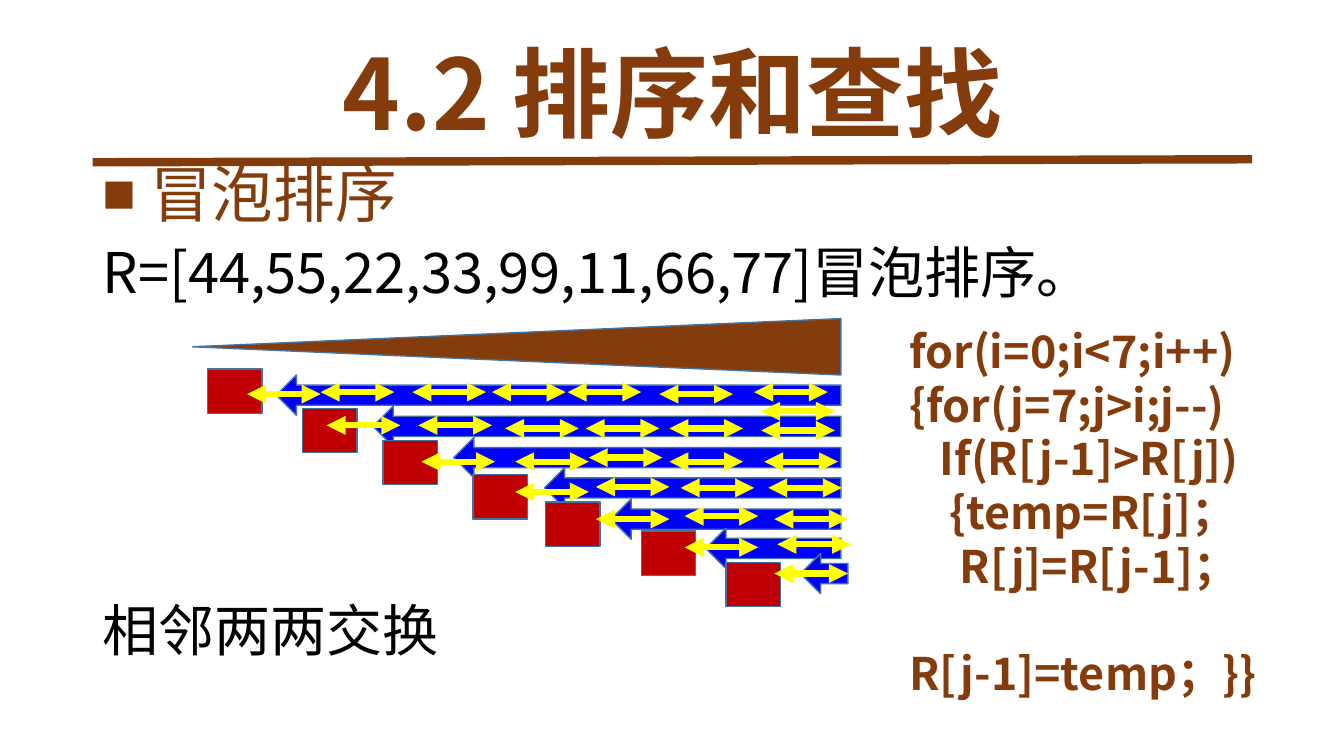
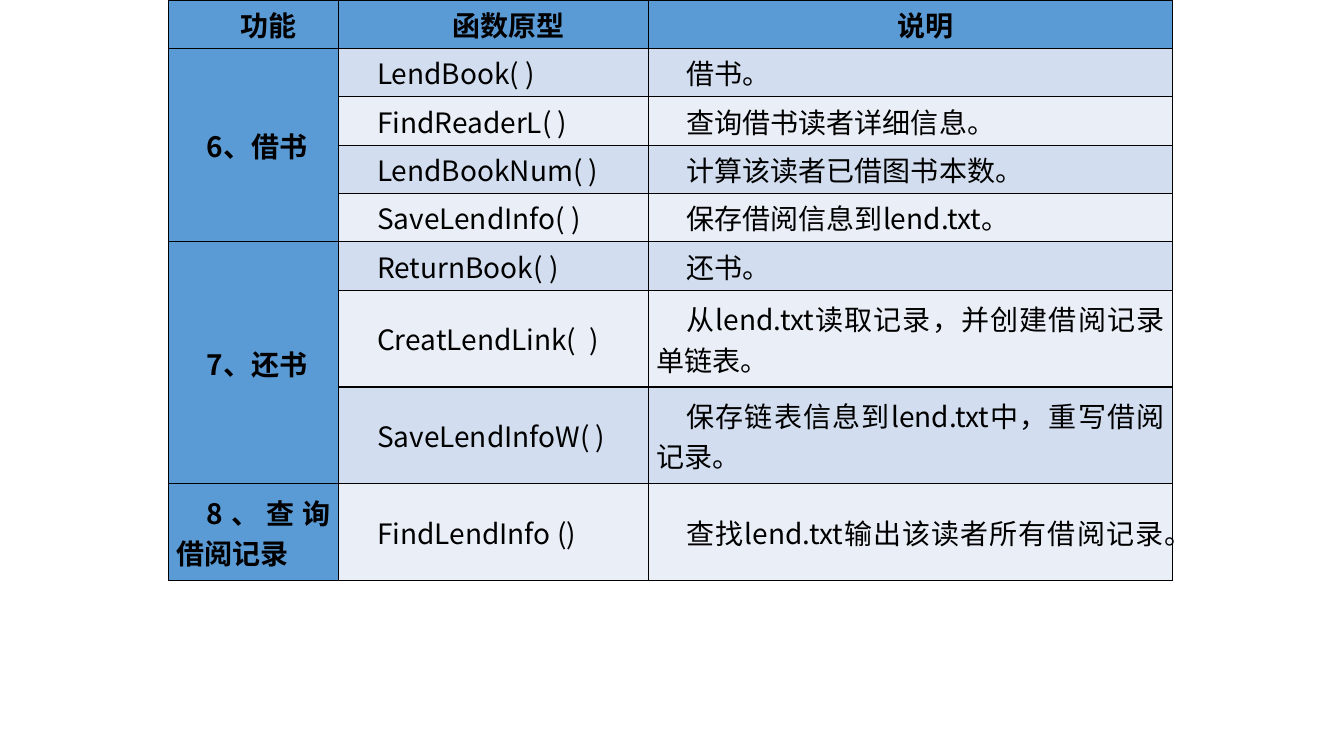
from pptx import Presentation
from pptx.dml.color import RGBColor
from pptx.enum.shapes import MSO_CONNECTOR as Connector, MSO_SHAPE as Preset
from pptx.enum.text import MSO_ANCHOR as Anchor, PP_ALIGN as Align
from pptx.oxml.ns import qn
from pptx.util import Inches, Pt
from lxml.etree import SubElement

WIDTH, HEIGHT = 13.33, 7.5
TITLE_ONLY, BLANK = 5, 6
FONT = "Noto Sans CJK SC"
BROWN, BLACK, OUTLINE = "843C0C", "000000", "43739E"
BLUE, RED, YELLOW = "0000FF", "C00000", "FFFF00"
HEAD_FILL, BAND_FILLS = "5B9BD5", ("D2DEEF", "EAEFF7")
MARGIN, CONTENT_WIDTH = 0.92, 11.5

# Each pass: arrow left and top, then sorted item left and top, within the diagram.
PASSES = [(0.83, 0.56, 0.15, 0.5), (1.79, 0.87, 1.09, 0.89),
          (2.59, 1.18, 1.89, 1.21), (3.49, 1.48, 2.78, 1.55),
          (4.15, 1.79, 3.5, 1.82), (5.09, 2.08, 4.45, 2.11),
          (6.03, 2.33, 5.29, 2.42)]
# Height of each line of swaps, with the left end of every swap on it.
SWAPS = {0.73: (1.27, 2.18, 2.97, 3.72, 5.57), 0.75: (0.54, 4.63),
         0.92: (5.64,), 1.06: (1.33, 2.24), 1.09: (3.1, 3.9, 4.73),
         1.11: (5.64,), 1.38: (3.93,), 1.42: (2.27, 3.2, 4.73, 5.67),
         1.67: (4,), 1.68: (4.84, 5.71), 1.72: (3.2,), 1.96: (4.88,),
         1.99: (4, 5.77), 2.24: (5.8,), 2.27: (4.88,), 2.53: (5.77,)}
SWAP_LENGTH = 0.73

# Each code line: indent in steps, text.
CODE = [(0, "for(i=0;i<7;i++)"), (0, "{for(j=7;j>i;j--)"), (3, "If(R[j-1]>R[j])"),
        (4, "{temp=R[j]；"), (5, "R[j]=R[j-1]；"), (0, "R[j-1]=temp；}}")]
CODE_STEP = 0.1

HEADINGS = ("功能", "函数原型", "说明")
FEATURES = {
    "6、借书": [("LendBook( )", "借书。"),
             ("FindReaderL( )", "查询借书读者详细信息。"),
             ("LendBookNum( )", "计算该读者已借图书本数。"),
             ("SaveLendInfo( )", "保存借阅信息到lend.txt。")],
    "7、还书": [("ReturnBook( )", "还书。"),
             ("CreatLendLink(  )", "从lend.txt读取记录，并创建借阅记录单链表。"),
             ("SaveLendInfoW( )", "保存链表信息到lend.txt中，重写借阅记录。")],
    "8、查询借阅记录": [("FindLendInfo ()", "查找lend.txt输出该读者所有借阅记录。")],
}
COLUMN_WIDTHS, ROW_HEIGHT, TALL_FROM = (1.69, 3.07, 5.2), 0.48, 6


def color(hex_text):
    """Turn a hex string into a colour."""
    return RGBColor.from_string(hex_text)


def apply(target, values):
    """Set every attribute in a dict of format values."""
    for name, value in values.items():
        setattr(target, name, value)


def write(paragraph, text, size, ink=BLACK, bold=False, **layout):
    """Fill a paragraph with one formatted run."""
    run = paragraph.add_run()
    run.text = text
    apply(run.font, {"size": Pt(size), "bold": bold, "name": FONT})
    run.font.color.rgb = color(ink)
    SubElement(run.font._element, qn("a:ea"), typeface=FONT)
    apply(paragraph, layout)


def set_indent(paragraph, left, first):
    """Set the left margin and first-line indent in inches."""
    properties = paragraph._p.get_or_add_pPr()
    properties.set("marL", str(Inches(left)))
    properties.set("indent", str(Inches(first)))
    return properties


def add_line(slide, start, end, ink, width, arrows=False):
    """Draw a straight line, with arrowheads at both ends if asked."""
    line = slide.shapes.add_connector(
        Connector.STRAIGHT, *map(Inches, (*start, *end)))
    line.line.color.rgb = color(ink)
    line.line.width = Pt(width)
    if arrows:
        for end_tag in ("a:headEnd", "a:tailEnd"):
            SubElement(line.line._ln, qn(end_tag), type="triangle")
    SubElement(line._element.spPr, qn("a:effectLst"))


def add_figure(slide, preset, box, fill, rotation=0):
    """Draw a filled preset shape with the shared outline."""
    figure = slide.shapes.add_shape(preset, *map(Inches, box))
    figure.shadow.inherit = False
    figure.rotation = rotation
    figure.fill.solid()
    figure.fill.fore_color.rgb = color(fill)
    figure.line.color.rgb = color(OUTLINE)
    figure.line.width = Pt(1)


def add_text_frame(slide, box):
    """Add a wrapping text box and return its frame."""
    frame = slide.shapes.add_textbox(*map(Inches, box)).text_frame
    frame.word_wrap = True
    return frame


def add_title(slide, text, box):
    """Format the title placeholder and rule a line under it."""
    left, top, width, height = box
    title = slide.shapes.title
    apply(title, dict(zip(("left", "top", "width", "height"), map(Inches, box))))
    title.text_frame.vertical_anchor = Anchor.MIDDLE
    write(title.text_frame.paragraphs[0], text, 70, BROWN, True,
          alignment=Align.CENTER, line_spacing=0.9)
    rule_y = top + height - 0.12
    add_line(slide, (left, rule_y + 0.03), (left + width, rule_y), BROWN, 6)


def add_statement(slide, box):
    """Write the bulleted topic, the list to sort and the closing remark."""
    frame = add_text_frame(slide, box)
    topic = frame.paragraphs[0]
    write(topic, " 冒泡排序", 44, BROWN, line_spacing=0.9, space_before=Pt(10))
    properties = set_indent(topic, 0.25, -0.25)
    SubElement(properties, qn("a:buSzPct"), val="55000")
    SubElement(properties, qn("a:buFont"), typeface=FONT)
    SubElement(properties, qn("a:buChar"), char="■")
    for text, gap in (("R=[44,55,22,33,99,11,66,77]冒泡排序。", 10),
                      ("相邻两两交换", 213)):
        write(frame.add_paragraph(), text, 40, line_spacing=0.9,
              space_before=Pt(gap))


def add_passes(slide, box):
    """Draw the wedge, the arrow of each pass, the sorted items and the swaps."""
    left, top, width, height = box
    wedge_length, wedge_height = 6.43, 0.56
    add_figure(slide, Preset.ISOSCELES_TRIANGLE,
               (left + (wedge_length - wedge_height) / 2,
                top - (wedge_length - wedge_height) / 2,
                wedge_height, wedge_length), BROWN, 270)
    for arrow_x, arrow_y, item_x, item_y in PASSES:
        length = max(wedge_length - arrow_x, 0.47)
        add_figure(slide, Preset.RIGHT_ARROW,
                   (left + arrow_x, top + arrow_y, length, 0.4), BLUE, 180)
        add_figure(slide, Preset.RECTANGLE,
                   (left + item_x, top + item_y, 0.54, 0.44), RED)
    for swap_y, starts in SWAPS.items():
        for swap_x in starts:
            add_line(slide, (left + swap_x, top + swap_y),
                     (left + swap_x + SWAP_LENGTH, top + swap_y), YELLOW, 4.5, True)


def add_code(slide, box):
    """Write the code, its last line set one line lower."""
    frame = add_text_frame(slide, box)
    for number, (steps, text) in enumerate(CODE):
        line = frame.paragraphs[0] if number == 0 else frame.add_paragraph()
        write(line, text, 32, BROWN, True)
        set_indent(line, steps * CODE_STEP, 0)
    line.space_before = Pt(38.5)


def fill_cell(cell, text, fill, bold, alignment):
    """Give a cell its borders, fill and text."""
    apply(cell, {"margin_left": Inches(0.08), "margin_right": Inches(0.08),
                 "margin_top": 0, "margin_bottom": 0,
                 "vertical_anchor": Anchor.MIDDLE})
    for side in "LRTB":
        border = SubElement(cell._tc.get_or_add_tcPr(), qn(f"a:ln{side}"),
                            w=str(Pt(1)))
        ink = SubElement(border, qn("a:solidFill"))
        SubElement(ink, qn("a:srgbClr"), val=BLACK)
    cell.fill.solid()
    cell.fill.fore_color.rgb = color(fill)
    paragraph = cell.text_frame.paragraphs[0]
    if text:
        write(paragraph, text, 20, bold=bold, alignment=alignment)
    set_indent(paragraph, 0, 0.3)


def add_feature_table(slide, left, top):
    """Build the table of features, their functions and what they do."""
    entries = [(feature if first == 0 else "", *entry)
               for feature, group in FEATURES.items()
               for first, entry in enumerate(group)]
    rows = [HEADINGS, *entries]
    table = slide.shapes.add_table(
        len(rows), len(HEADINGS), Inches(left), Inches(top),
        Inches(sum(COLUMN_WIDTHS)), Inches(ROW_HEIGHT * len(rows))).table
    for column, width in zip(table.columns, COLUMN_WIDTHS):
        column.width = Inches(width)
    for r, texts in enumerate(rows):
        table.rows[r].height = Inches(ROW_HEIGHT * (2 if r >= TALL_FROM else 1))
        for c, text in enumerate(texts):
            strong = r == 0 or c == 0
            fill = HEAD_FILL if strong else BAND_FILLS[(r - 1) % 2]
            fill_cell(table.cell(r, c), text, fill, strong,
                      Align.CENTER if r == 0 else Align.JUSTIFY)
    first = 1
    for group in FEATURES.values():
        last = first + len(group) - 1
        if last > first:
            table.cell(first, 0).merge(table.cell(last, 0))
        first = last + 1


def build_sorting_slide(deck):
    """Slide on bubble sort: statement, diagram and code."""
    slide = deck.slides.add_slide(deck.slide_layouts[TITLE_ONLY])
    add_statement(slide, (MARGIN, 1.58, CONTENT_WIDTH, 5.59))
    add_title(slide, "4.2 排序和查找", (MARGIN, 0.25, CONTENT_WIDTH, 1.45))
    add_passes(slide, (1.91, 3.16, 6.53, 2.86))
    add_code(slide, (8.92, 3.16, 4.11, 3.33))


def build_feature_slide(deck):
    """Slide with the table of library functions."""
    slide = deck.slides.add_slide(deck.slide_layouts[BLANK])
    add_feature_table(slide, 1.67, 0)


deck = Presentation()
deck.slide_width, deck.slide_height = Inches(WIDTH), Inches(HEIGHT)
build_sorting_slide(deck)
build_feature_slide(deck)
deck.save("out.pptx")
